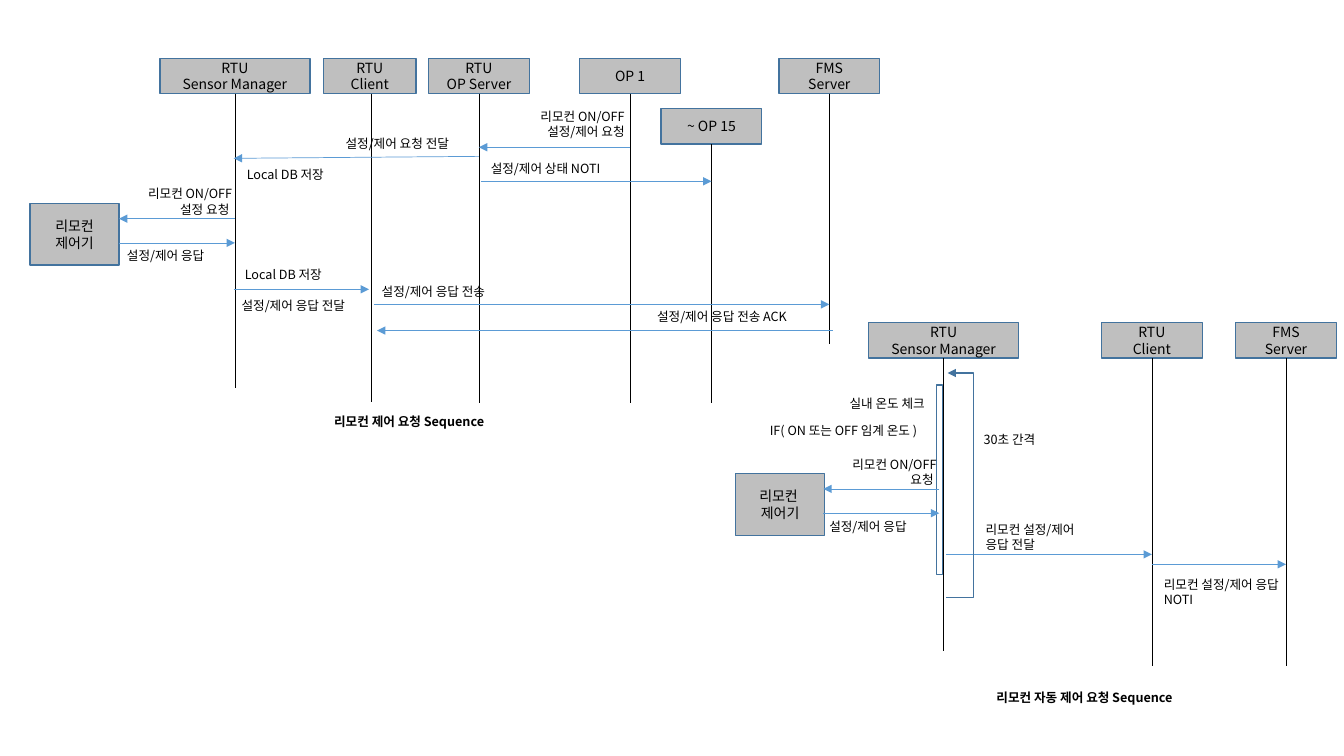
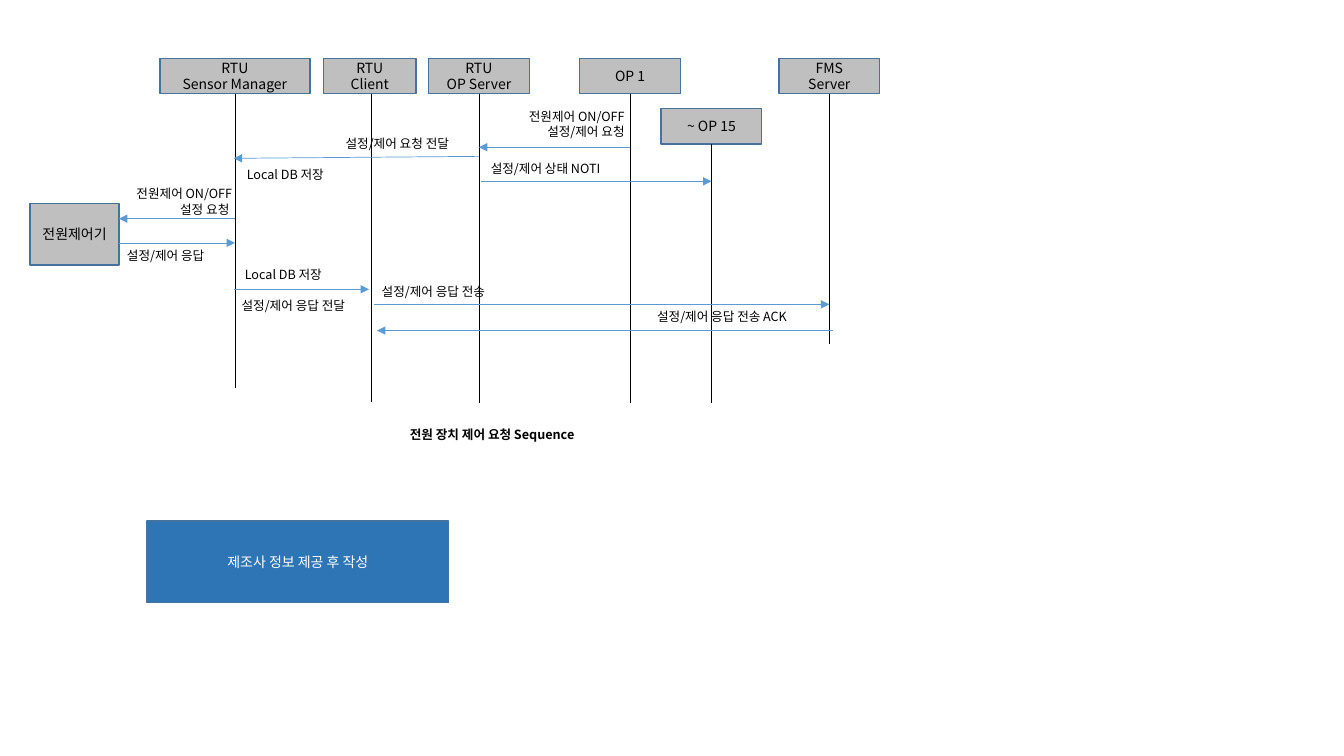
import dataclasses

import pptx
import pptx.dml.color
import pptx.enum.shapes
import pptx.enum.text
import pptx.oxml
import pptx.oxml.ns
import pptx.util
from lxml import etree

Cm = pptx.util.Cm
Pt = pptx.util.Pt
ALIGN = pptx.enum.text.PP_ALIGN
FONT = "Noto Sans CJK KR"
HEAD = 0.89  # height of a participant box
HEX = {
    "ink": "000000",
    "white": "FFFFFF",
    "gray": "BFBFBF",
    "edge": "43739E",
    "arrow": "5B9BD5",
    "blue": "2E75B6",
}


@dataclasses.dataclass
class Life:
    label: str
    x: float
    end: float
    width: float = 2.54
    top: float = 1.47
    shift: float = 0


@dataclasses.dataclass
class Call:
    x: float
    to: float
    y: float
    drop: float = 0


@dataclasses.dataclass
class Note:
    text: str
    left: float
    top: float
    width: float = 3.53
    align: ALIGN = ALIGN.LEFT
    bold: bool = False
    lines: int = 1


@dataclasses.dataclass
class Box:
    text: str
    left: float
    top: float
    width: float = 2.24
    height: float = 1.55
    fill: str = "gray"
    ink: str = "ink"


# Sequence shared by both slides
LIVES = [
    Life("RTU\nSensor Manager", 5.92, 9.78, 3.78),
    Life("RTU\nClient", 9.37, 10.13, 2.34, shift=-0.05),
    Life("RTU\nOP Server", 12.07, 10.16),
    Life("OP 1", 15.88, 10.16),
    Life("~ OP 15", 17.93, 10.16, top=2.74),
    Life("FMS\nServer", 20.9, 8.66),
]
CALLS = [
    Call(15.88, 12.07, 3.71),
    Call(12.07, 5.89, 3.94, 0.05),
    Call(12.12, 17.93, 4.57),
    Call(5.92, 3, 5.51),
    Call(3, 5.92, 6.12),
    Call(5.89, 9.3, 7.29),
    Call(9.42, 20.9, 7.67),
    Call(20.98, 9.5, 8.33),
]
NOTES = [
    Note("설정/제어 요청 전달", 8.46, 3.3),
    Note("설정/제어 상태 NOTI", 12.12, 3.94, 4.19),
    Note("Local DB 저장", 5.97, 4.09),
    Note("설정/제어 응답", 2.95, 6.12),
    Note("Local DB 저장", 5.92, 6.6),
    Note("설정/제어 응답 전달", 5.84, 7.37),
    Note("설정/제어 응답 전송", 9.37, 7.04),
    Note("설정/제어 응답 전송 ACK", 16.31, 7.67, 4.32),
]

# Automatic sequence on the first slide
AUTO_LIVES = [
    Life("RTU\nSensor Manager", 23.78, 16.41, 3.78, 8.13),
    Life("RTU\nClient", 29.03, 16.79, top=8.13),
    Life("FMS\nServer", 32.41, 16.79, top=8.13),
]
AUTO_CALLS = [
    Call(23.67, 20.75, 12.32),
    Call(20.75, 23.67, 12.93),
    Call(23.85, 29.03, 13.97),
    Call(29.03, 32.41, 14.22),
]
AUTO_NOTES = [
    Note("실내 온도 체크", 21.16, 9.86),
    Note("IF( ON 또는 OFF 임계 온도 )", 19.15, 10.52, 4.7),
    Note("리모컨 ON/OFF\n요청 ", 20.32, 11.38, align=ALIGN.RIGHT, lines=2),
    Note("설정/제어 응답", 20.65, 12.95),
    Note("리모컨 설정/제어\n응답 전달", 24.59, 13.03, lines=2),
    Note("리모컨 설정/제어 응답 NOTI", 29.08, 14.4, lines=2),
    Note("30초 간격", 24.54, 10.77),
    Note("리모컨 자동 제어 요청 Sequence", 24.23, 17.25, 6.2, ALIGN.CENTER, True),
]
LOOP = [(23.85, 15.06), (24.54, 15.06), (24.54, 9.4), (23.88, 9.4)]


def rgb(name: str) -> pptx.dml.color.RGBColor:
    return pptx.dml.color.RGBColor.from_string(HEX[name])


def style(frame, size: float, ink: str, align: ALIGN, bold: bool = False) -> None:
    for para in frame.paragraphs:
        para.alignment = align
        for run in para.runs:
            font = run.font
            font.name, font.size, font.bold = FONT, Pt(size), bold
            font.color.rgb = rgb(ink)
            east = etree.SubElement(run._r.get_or_add_rPr(), pptx.oxml.ns.qn("a:ea"))
            east.set("typeface", FONT)


def edge(line, color: str, width: float) -> None:
    line.color.rgb = rgb(color)
    line.width = Pt(width)


def tip(line) -> None:
    end = etree.SubElement(line._get_or_add_ln(), pptx.oxml.ns.qn("a:tailEnd"))
    end.set("type", "triangle")


def add_line(slide, x: float, y: float, to: float, end: float, color: str):
    kind = pptx.enum.shapes.MSO_CONNECTOR.STRAIGHT
    link = slide.shapes.add_connector(kind, Cm(x), Cm(y), Cm(to), Cm(end))
    edge(link.line, color, 0.5)
    etree.SubElement(link._element.spPr, pptx.oxml.ns.qn("a:effectLst"))
    return link


def add_box(slide, box: Box) -> None:
    shape = slide.shapes.add_shape(
        pptx.enum.shapes.MSO_SHAPE.RECTANGLE,
        Cm(box.left), Cm(box.top), Cm(box.width), Cm(box.height))
    shape.shadow.inherit = False
    edge(shape.line, "edge", 1)
    if box.fill:
        shape.fill.solid()
        shape.fill.fore_color.rgb = rgb(box.fill)
    else:
        shape.fill.background()
    if box.text:
        frame = shape.text_frame
        frame.text = box.text
        frame.vertical_anchor = pptx.enum.text.MSO_ANCHOR.MIDDLE
        style(frame, 10, box.ink, ALIGN.CENTER)


def add_note(slide, note: Note) -> None:
    high = 0.64 if note.lines == 1 else 1.02
    area = slide.shapes.add_textbox(
        Cm(note.left), Cm(note.top), Cm(note.width), Cm(high))
    frame = area.text_frame
    frame.word_wrap = True
    frame.auto_size = pptx.enum.text.MSO_AUTO_SIZE.SHAPE_TO_FIT_TEXT
    frame.text = note.text
    style(frame, 9, "ink", note.align, note.bold)


def draw(slide, lives: list[Life], calls: list[Call], notes: list[Note]) -> None:
    for life in lives:
        left = life.x - life.width / 2 + life.shift
        add_box(slide, Box(life.label, left, life.top, life.width, HEAD))
        add_line(slide, life.x, life.top + HEAD, life.x, life.end, "ink")
    for call in calls:
        tip(add_line(slide, call.x, call.y, call.to, call.y + call.drop, "arrow").line)
    for note in notes:
        add_note(slide, note)


def add_flow(slide, topic: str, device: str, title: Note) -> None:
    asks = [
        Note(f"{topic} ON/OFF\n설정/제어 요청", 12.66, 2.62, 3.33, ALIGN.RIGHT, lines=2),
        Note(f"{topic} ON/OFF\n설정 요청 ", 2.57, 4.57, align=ALIGN.RIGHT, lines=2),
    ]
    add_box(slide, Box(device, 0.76, 5.13))
    draw(slide, LIVES, CALLS, NOTES + asks + [title])


def add_loop(slide) -> None:
    first, *rest = [(Cm(x), Cm(y)) for x, y in LOOP]
    form = slide.shapes.build_freeform(*first)
    form.add_line_segments(rest, close=False)
    shape = form.convert_to_shape()
    shape.shadow.inherit = False
    shape.fill.background()
    edge(shape.line, "edge", 1)
    tip(shape.line)


def main() -> None:
    deck = pptx.Presentation()
    deck.slide_width, deck.slide_height = Cm(33.87), Cm(19.05)
    blank = deck.slide_layouts[6]

    # Remote control
    slide = deck.slides.add_slide(blank)
    add_flow(slide, "리모컨", "리모컨\n제어기",
             Note("리모컨 제어 요청 Sequence", 7.21, 10.31, 6.2, ALIGN.CENTER, True))
    add_box(slide, Box("리모컨 \n제어기", 18.54, 11.94))
    add_box(slide, Box("", 23.6, 9.7, 0.15, 4.78, fill=""))
    draw(slide, AUTO_LIVES, AUTO_CALLS, AUTO_NOTES)
    add_loop(slide)

    # Power control
    slide = deck.slides.add_slide(blank)
    add_flow(slide, "전원제어", "전원제어기",
             Note("전원 장치 제어 요청 Sequence", 9.3, 10.64, 6.2, ALIGN.CENTER, True))
    add_box(slide, Box("제조사 정보 제공 후 작성", 3.71, 13.13, 7.59, 2.06, "blue", "white"))

    deck.save("out.pptx")


if __name__ == "__main__":
    main()
